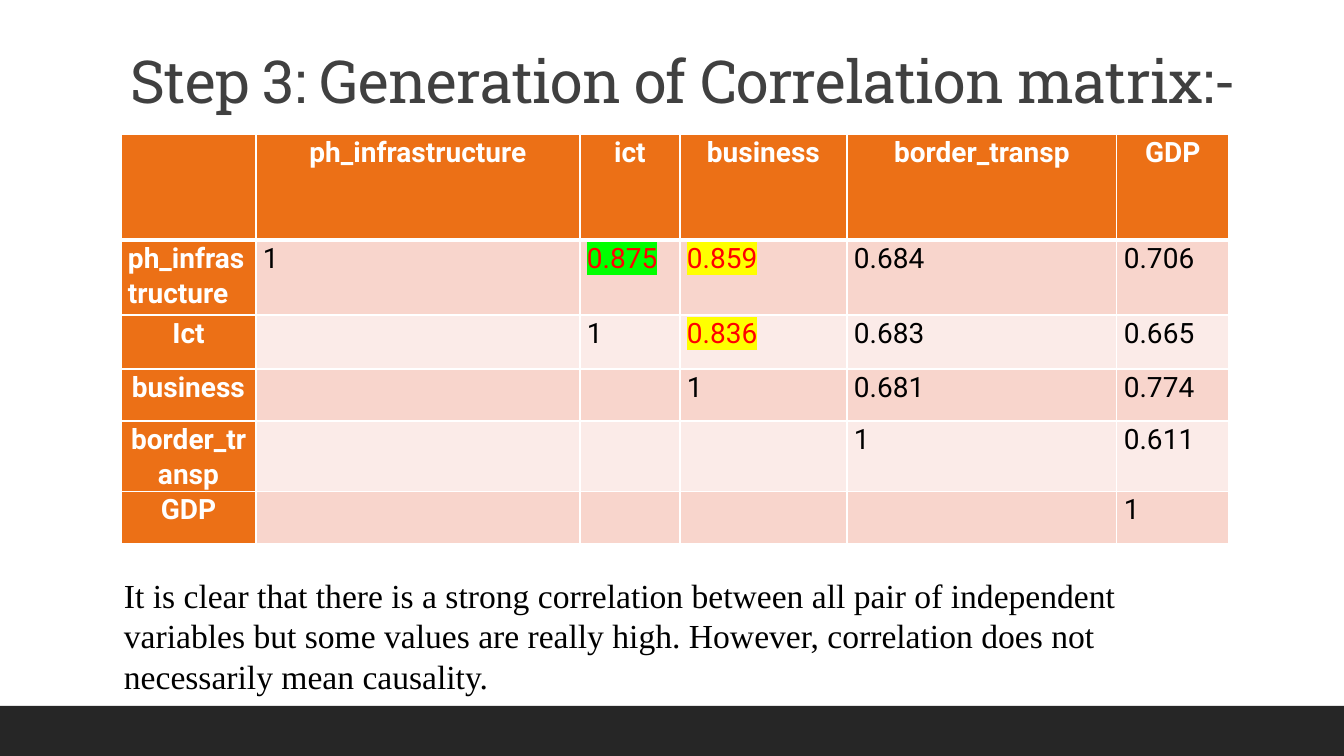
from lxml import etree
from pptx import Presentation
from pptx import util as u
from pptx.dml.color import RGBColor
from pptx.enum import shapes, text
from pptx.oxml import ns

PX = 12192000 / 1344  # EMU in one px
ORANGE, WHITE, BLACK, RED = "EC7016", "FFFFFF", "000000", "FF0000"
GREEN, YELLOW = "00FF00", "FFFF00"
BANDS = ["FBEBE8", "F8D5CC"]


def px(*sizes):
    """Turn px lengths into a list of EMU."""
    return [u.Emu(round(s * PX)) for s in sizes]


def style(run, name, size, color, bold=False):
    run.font.name = name
    run.font.size = u.Pt(size)
    run.font.bold = bold
    run.font.color.rgb = RGBColor.from_string(color)


deck = Presentation()
deck.slide_width, deck.slide_height = px(1344, 756)
slide = deck.slides.add_slide(deck.slide_layouts[6])

# Footer band
band = slide.shapes.add_shape(shapes.MSO_SHAPE.RECTANGLE, *px(0, 706, 1344, 50))
band.shadow.inherit = False
band.fill.solid()
band.fill.fore_color.rgb = RGBColor.from_string("262626")
band.line.fill.background()

# Correlation table
names = ["ph_infrastructure", "ict", "business", "border_transp", "GDP"]
rows = [
    [""] + names,
    ["ph_infrastructure", "1", "0.875", "0.859", "0.684", "0.706"],
    ["Ict", "", "1", "0.836", "0.683", "0.665"],
    ["business", "", "", "1", "0.681", "0.774"],
    ["border_transp", "", "", "", "1", "0.611"],
    ["GDP", "", "", "", "", "1"],
]
marks = {(1, 2): GREEN, (1, 3): YELLOW, (2, 3): YELLOW}
widths = [135, 324, 100, 167, 270, 112]
heights = [106, 75, 54, 52, 70, 52]
frame = slide.shapes.add_table(
    len(rows), len(widths), *px(121, 134, sum(widths), sum(heights)))
table = frame.table
for col, width in zip(table.columns, px(*widths)):
    col.width = width
for row, height in zip(table.rows, px(*heights)):
    row.height = height

for r, row in enumerate(rows):
    for c, word in enumerate(row):
        cell = table.cell(r, c)
        head = r == 0 or c == 0
        cell.margin_left, cell.margin_right = px(7, 7)
        cell.margin_top = cell.margin_bottom = 0
        cell.fill.solid()
        cell.fill.fore_color.rgb = RGBColor.from_string(
            ORANGE if head else BANDS[r % 2])

        # Cell borders, thick between the header and the first row
        props = cell._tc.get_or_add_tcPr()
        for i, side in enumerate(["lnL", "lnR", "lnT", "lnB"]):
            thick = (r, side) in [(0, "lnB"), (1, "lnT")]
            edge = etree.Element(ns.qn("a:" + side), w=str(u.Pt(3 if thick else 1)))
            fill = etree.SubElement(edge, ns.qn("a:solidFill"))
            etree.SubElement(fill, ns.qn("a:srgbClr"), val=WHITE)
            props.insert(i, edge)

        if not word:
            continue
        cell.text_frame.text = word
        para = cell.text_frame.paragraphs[0]
        para.line_spacing = 1.07
        para.space_after = u.Pt(8)
        if head and (r, c) != (1, 0):
            para.alignment = text.PP_ALIGN.CENTER
        mark = marks.get((r, c))
        run = para.runs[0]
        style(run, "Roboto", 20, WHITE if head else RED if mark else BLACK, head)
        if mark:
            glow = etree.Element(ns.qn("a:highlight"))
            etree.SubElement(glow, ns.qn("a:srgbClr"), val=mark)
            run.font._element.find(ns.qn("a:solidFill")).addnext(glow)

# Comment below the table
note = slide.shapes.add_textbox(*px(114, 570, 1102, 132))
note.text_frame.word_wrap = True
note.text_frame.text = (
    "It is clear that there is a strong correlation between all pair of "
    "independent variables but some values are really high. However, "
    "correlation does not necessarily mean causality.")
style(note.text_frame.paragraphs[0].runs[0], "Times New Roman", 24, BLACK)

# Title
title = slide.shapes.add_textbox(*px(121, 25, 1213, 166))
title.text_frame.word_wrap = True
title.text_frame.vertical_anchor = text.MSO_ANCHOR.BOTTOM
title.text_frame.margin_bottom = px(75)[0]
title.text_frame.text = "Step 3: Generation of Correlation matrix:-"
para = title.text_frame.paragraphs[0]
para.line_spacing = 0.9
style(para.runs[0], "Roboto Slab", 42.3, "404040")
para.runs[0].font._element.set("spc", "-50")

deck.save("out.pptx")
